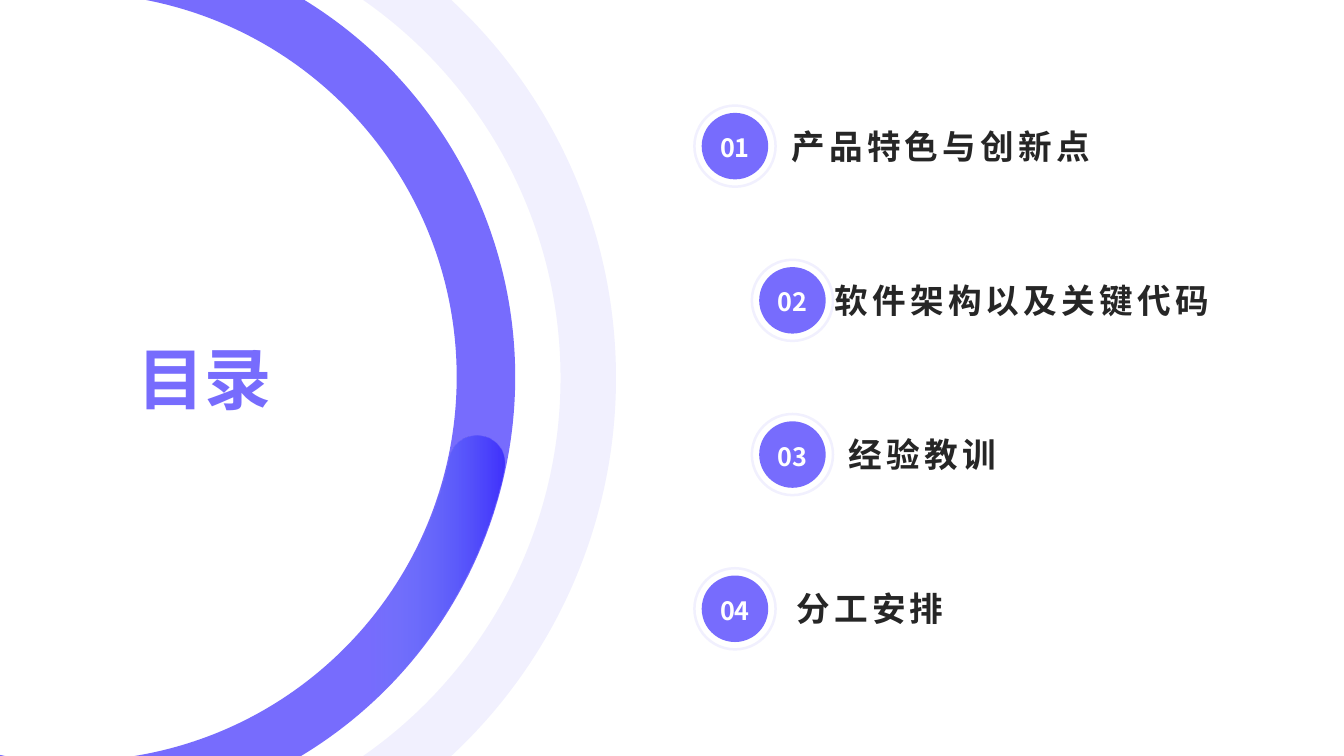
from math import asin, cos, degrees, radians, sin, tan

from lxml.etree import SubElement
from pptx import Presentation
from pptx.dml.color import RGBColor
from pptx.enum.shapes import MSO_SHAPE as Shape
from pptx.enum.text import MSO_ANCHOR as Anchor, PP_ALIGN as Align
from pptx.oxml.ns import qn
from pptx.util import Inches, Pt

FONT = "Noto Sans CJK SC"
COLORS = {
    "violet": "776CFD",
    "sky": "5D95F1",
    "blue": "2513FC",
    "ink": "262626",
    "white": "FFFFFF",
}
WIDTH, HEIGHT = 13.33, 7.5
BADGE, HALO = 0.66, 0.83
FIRST_ROW, ROW_GAP = 1.45, 1.53

# Number, badge centre, text left, heading
AGENDA = [
    ("01", 7.29, 7.85, "产品特色与创新点"),
    ("02", 7.86, 8.28, "软件架构以及关键代码"),
    ("03", 7.86, 8.42, "经验教训"),
    ("04", 7.29, 7.9, "分工安排"),
]


def rgb(name):
    return RGBColor.from_string(COLORS[name])


def set_alpha(shape, *percents):
    """Give each fill colour of the shape, in order, its opacity."""
    colors = shape._element.spPr.iter(qn("a:srgbClr"))
    for color, percent in zip(colors, percents):
        SubElement(color, qn("a:alpha")).set("val", str(percent * 1000))


def paint(shape, color, opacity=100):
    shape.shadow.inherit = False
    shape.line.fill.background()
    shape.fill.solid()
    shape.fill.fore_color.rgb = rgb(color)
    if opacity < 100:
        set_alpha(shape, opacity)


def arc(center, radius, *angles):
    """Segments of a circle: a start point, then one curve per pair of angles.

    Angles are in degrees, clockwise from the right.
    """
    def spot(angle, shift=0):
        """Point on the circle, moved along its tangent by shift."""
        x, y = cos(angle), sin(angle)
        return (center[0] + radius * (x - shift * y),
                center[1] + radius * (y + shift * x))

    turns = [radians(angle) for angle in angles]
    segments = [[spot(turns[0])]]
    for start, end in zip(turns, turns[1:]):
        reach = 4 / 3 * tan((end - start) / 4)
        segments.append([spot(start, reach), spot(end, -reach), spot(end)])
    return segments


def edge_angle(center, radius, edge):
    """Angle at which a circle meets the horizontal line y = edge."""
    return degrees(asin((edge - center[1]) / radius))


def add_outline(slide, *contours):
    """Draw closed contours; segments of three points become curves."""
    builder = None
    for contour in contours:
        points = [(Inches(x), Inches(y)) for segment in contour for x, y in segment]
        if builder is None:
            builder = slide.shapes.build_freeform(*points[0], scale=1.0)
        else:
            builder.move_to(*points[0])
        builder.add_line_segments(points[1:], close=True)
    shape = builder.convert_to_shape()

    lines = iter(list(shape._element.spPr.iter(qn("a:lnTo"))))
    for contour in contours:
        for segment in contour[1:]:
            group = [next(lines) for _ in segment]
            if len(group) == 3:
                curve = group[0].makeelement(qn("a:cubicBezTo"))
                group[0].addprevious(curve)
                for line in group:
                    curve.append(line[0])
                    line.getparent().remove(line)
    return shape


def corner(width, height):
    """Sliver of the circle showing in the lower left corner of the slide."""
    return [[(0, HEIGHT - height)], [(0, HEIGHT)], [(width, HEIGHT)]]


def add_ring(slide, center, inner, outer, *slivers, opacity=100):
    """Right part of a ring, cut off by the top and bottom of the slide."""
    (inner_top, inner_bottom), (outer_top, outer_bottom) = [
        [edge_angle(center, radius, edge) for edge in (0, HEIGHT)]
        for radius in (inner, outer)
    ]
    band = arc(center, outer, outer_top, 0, outer_bottom)
    band += arc(center, inner, inner_bottom, 0, inner_top)
    paint(add_outline(slide, band, *slivers), "violet", opacity)


def add_highlight(slide, center, inner, outer, start):
    """Gradient stretch of the ring with a round upper end."""
    cap_center = arc(center, (inner + outer) / 2, start)[0][0]
    band = arc(cap_center, (outer - inner) / 2, start + 180, start + 270, start + 360)
    band += arc(center, outer, start, edge_angle(center, outer, HEIGHT))
    band += arc(center, inner, edge_angle(center, inner, HEIGHT), start)
    shape = add_outline(slide, band, corner(0.01, 0))
    paint(shape, "violet")
    shape.fill.gradient()
    shape.fill.gradient_angle = 0
    stops = [(0.73, "sky"), (1, "blue")]
    for stop, (position, color) in zip(shape.fill.gradient_stops, stops):
        stop.position = position
        stop.color.rgb = rgb(color)
    set_alpha(shape, 0, 70)


def write(shape, text, size, color, wrap=True, spacing=0):
    frame = shape.text_frame
    frame.word_wrap = wrap
    frame.vertical_anchor = Anchor.MIDDLE
    frame.margin_left = frame.margin_right = 0
    frame.margin_top = frame.margin_bottom = 0
    paragraph = frame.paragraphs[0]
    paragraph.text = text
    font = paragraph.font
    font.size = Pt(size)
    font.bold = True
    font.color.rgb = rgb(color)
    font.name = FONT
    SubElement(font._rPr, qn("a:ea")).set("typeface", FONT)
    if spacing:
        font._rPr.set("spc", str(spacing * 100))
    return paragraph


def add_text(slide, left, top, width, height, text, size, color, spacing=0):
    box = slide.shapes.add_textbox(*map(Inches, (left, top, width, height)))
    write(box, text, size, color, spacing=spacing)


def add_centered(slide, kind, x, y, size):
    left, top = Inches(x - size / 2), Inches(y - size / 2)
    return slide.shapes.add_shape(kind, left, top, Inches(size), Inches(size))


def add_badge(slide, x, y, number):
    halo = add_centered(slide, Shape.DONUT, x, y, HALO)
    halo.adjustments[0] = 0.03
    paint(halo, "violet", 10)
    disc = add_centered(slide, Shape.OVAL, x, y, BADGE)
    paint(disc, "violet")
    paragraph = write(disc, number, 18, "white", wrap=False)
    paragraph.alignment = Align.CENTER
    paragraph.line_spacing = 1.1


def main():
    presentation = Presentation()
    presentation.slide_width = Inches(WIDTH)
    presentation.slide_height = Inches(HEIGHT)
    slide = presentation.slides.add_slide(presentation.slide_layouts[6])

    add_ring(slide, (0.99, 3.75), 4.57, 5.12, opacity=10)
    ring_center = (0.72, 3.74)
    add_ring(slide, ring_center, 3.81, 4.39, corner(0.05, 0.01))
    add_highlight(slide, ring_center, 3.82, 4.38, start=12.2)

    add_text(slide, 1.36, 3.03, 2.91, 1.44, "目录", 48, "violet")
    for row, (number, badge_x, text_left, heading) in enumerate(AGENDA):
        y = FIRST_ROW + row * ROW_GAP
        add_badge(slide, badge_x, y, number)
        add_text(slide, text_left, y - 0.28, 4.02, 0.55, heading, 24, "ink", spacing=3)

    presentation.save("out.pptx")


if __name__ == "__main__":
    main()
